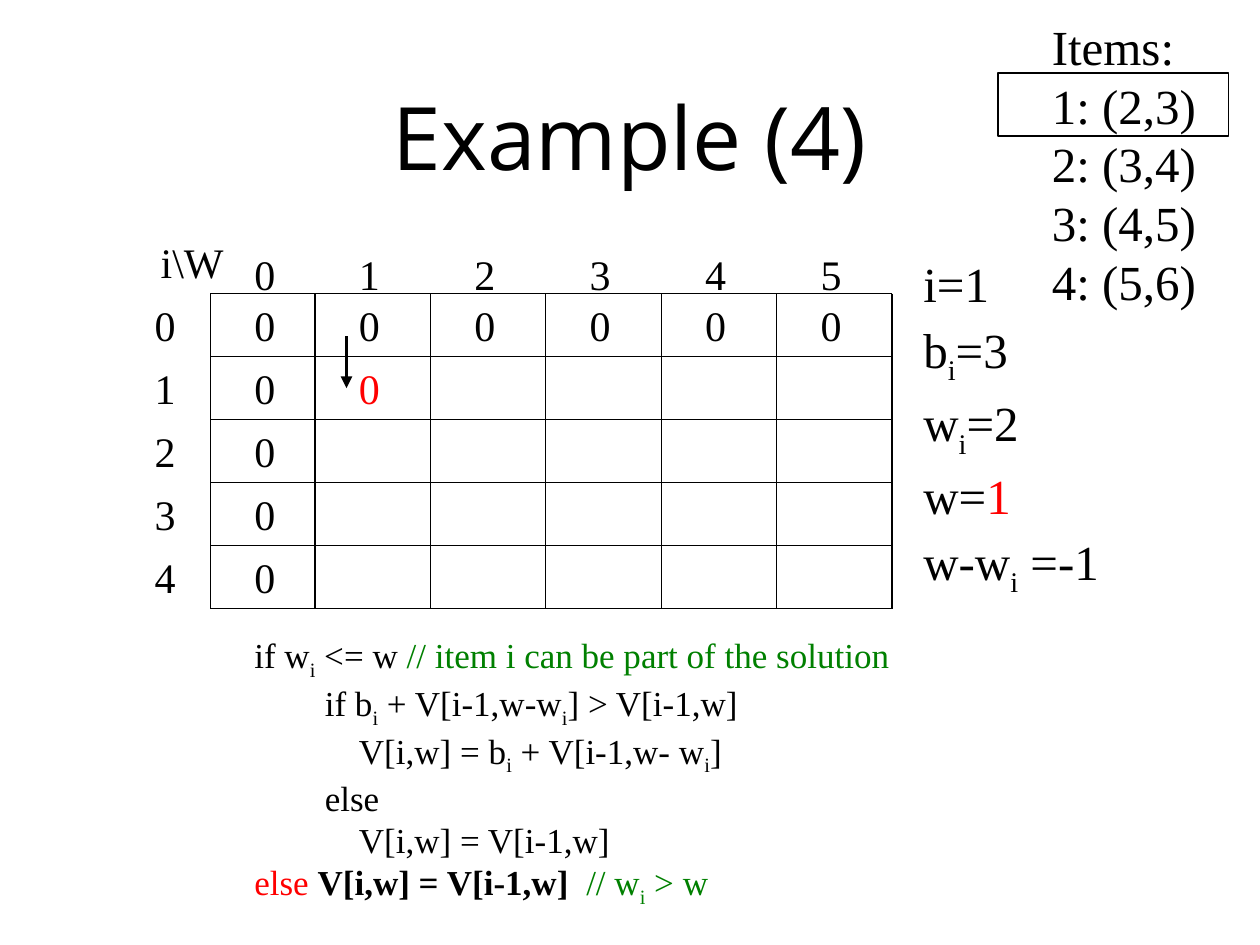
from dataclasses import dataclass

import pptx
import pptx.dml.color
import pptx.enum.shapes
import pptx.enum.text
import pptx.oxml.ns
import pptx.util
from lxml import etree
from pptx.util import Inches


@dataclass(frozen=True)
class Theme:
    """Colours, fonts and type sizes of the slide."""
    ink: str = "000000"
    accent: str = "FF0000"
    comment: str = "008000"
    title_font: str = "Open Sans"
    body_font: str = "Times New Roman"
    title_size: int = 50
    large: int = 28
    medium: int = 24
    small: int = 20


def rgb(value):
    """Turn a hex string into a colour."""
    return pptx.dml.color.RGBColor.from_string(value)


class SlideBuilder:
    """Draws styled elements on the current slide."""

    def __init__(self, s, theme):
        """Keep the slide and its theme."""
        self.s = s
        self.theme = theme

    def style(self, p, font, size, color):
        """Set the font shared by a whole paragraph."""
        p.font.name = font
        p.font.size = pptx.util.Pt(size)
        p.font.color.rgb = rgb(color)

    def title(self, text, x, y, w, h):
        """Place and format the title placeholder."""
        sp = self.s.shapes.title
        sp.left, sp.top, sp.width, sp.height = map(Inches, (x, y, w, h))
        tf = sp.text_frame
        tf.text = text
        tf.vertical_anchor = pptx.enum.text.MSO_ANCHOR.MIDDLE
        p = tf.paragraphs[0]
        p.alignment = pptx.enum.text.PP_ALIGN.CENTER
        p.line_spacing = 0.9
        self.style(p, self.theme.title_font, self.theme.title_size, self.theme.ink)

    def runs(self, p, text, color=None, bold=None):
        """Add text to a paragraph, with subscripts between tildes."""
        for k, piece in enumerate(text.split("~")):
            if not piece:
                continue
            r = p.add_run()
            r.text = piece
            if color:
                r.font.color.rgb = rgb(color)
            if bold:
                r.font.bold = True
            if k % 2:
                r.font._element.set("baseline", "-25000")

    def text(self, lines, x, y, w, h, size, color=None, wrap=False,
             spacing=None, align=None):
        """Add a text box from lines of (indent, runs)."""
        sp = self.s.shapes.add_textbox(*map(Inches, (x, y, w, h)))
        tf = sp.text_frame
        tf.word_wrap = wrap
        tf.auto_size = pptx.enum.text.MSO_AUTO_SIZE.SHAPE_TO_FIT_TEXT
        for k, (indent, parts) in enumerate(lines):
            p = tf.add_paragraph() if k else tf.paragraphs[0]
            self.style(p, self.theme.body_font, size, color or self.theme.ink)
            p.line_spacing = spacing
            p.alignment = align
            if indent:
                p._p.get_or_add_pPr().set("marL", str(Inches(indent)))
            for part in parts:
                self.runs(p, *part)

    def label(self, text, x, y, color=None):
        """Add a one-digit label of the grid."""
        self.text([(0, [(text,)])], x, y, 0.37, 0.5, self.theme.medium, color)

    def line(self, x1, y1, x2, y2, width=0.75, arrow=False):
        """Add a straight line, with an arrowhead at its end if asked."""
        c = self.s.shapes.add_connector(
            pptx.enum.shapes.MSO_CONNECTOR.STRAIGHT, *map(Inches, (x1, y1, x2, y2)))
        c.line.width = pptx.util.Pt(width)
        c.line.color.rgb = rgb(self.theme.ink)
        if arrow:
            etree.SubElement(c.line._get_or_add_ln(),
                             pptx.oxml.ns.qn("a:tailEnd"), type="triangle")
        etree.SubElement(c._element.spPr, pptx.oxml.ns.qn("a:effectLst"))

    def frame(self, x, y, w, h):
        """Add an unfilled rectangle."""
        sp = self.s.shapes.add_shape(
            pptx.enum.shapes.MSO_SHAPE.RECTANGLE, *map(Inches, (x, y, w, h)))
        sp.shadow.inherit = False
        sp.fill.background()
        sp.line.color.rgb = rgb(self.theme.ink)
        sp.line.width = pptx.util.Pt(0.75)

    def grid(self, xs, ys):
        """Draw the value grid with its headings and known zeros."""
        for x in xs:
            self.line(x, ys[0], x, ys[-1])
        for y in ys:
            self.line(xs[0], y, xs[-1], y)
        for k, x in enumerate(xs[:-1]):
            self.label(str(k), x + 0.25, 1.92)
            self.label("0", x + 0.25, ys[0])
        for k, y in enumerate(ys[:-1]):
            self.label(str(k), 1.13, y)
            if k:
                self.label("0", xs[0] + 0.25, y)
        self.label("0", xs[1] + 0.25, ys[1], self.theme.accent)


def main():
    """Build and save the knapsack example slide."""
    prs = pptx.Presentation()
    prs.slide_width, prs.slide_height = Inches(10), Inches(7.5)
    theme = Theme()
    b = SlideBuilder(prs.slides.add_slide(prs.slide_layouts[5]), theme)
    b.title("Example (4)", 0.69, 0.4, 8.62, 1.45)

    code = [
        (0, [("if w~i~ <= w ",),
             ("// item i can be part of the solution", theme.comment)]),
        (0.56, [("if b~i~ + V[i-1,w-w~i~] > V[i-1,w]",)]),
        (0.83, [("V[i,w] = b~i~ + V[i-1,w- w~i~]",)]),
        (0.56, [("else",)]),
        (0.83, [("V[i,w] = V[i-1,w]",)]),
        (0, [("else ", theme.accent), ("V[i,w] = V[i-1,w]  ", None, True),
             ("// w~i~ > w", theme.comment)]),
    ]
    b.text(code, 1.92, 4.98, 7.58, 2.1, theme.small, wrap=True)

    items = ["Items:", "1: (2,3)", "2: (3,4)", "3: (4,5)", "4: (5,6)"]
    b.text([(0, [(item,)]) for item in items], 8.25, 0.08, 1.44, 2.44, theme.large)
    b.frame(7.92, 0.58, 1.83, 0.5)

    state = [[("i=1",)], [("b~i~=3",)], [("w~i~=2",)],
             [("w=",), ("1", theme.accent)], [("w-w~i~ =-1",)]]
    b.text([(0, parts) for parts in state], 7.23, 1.92, 1.61, 2.67,
           theme.large, wrap=True, spacing=1.1)

    first, last = 2.5, 7.08
    xs = [1.67] + [first + (last - first) * k / 5 for k in range(6)]
    ys = [2.33 + 0.5 * k for k in range(6)]
    b.grid(xs, ys)
    b.text([(0, [("i\\W",)])], 1.15, 1.83, 0.75, 0.5, theme.medium, wrap=True,
           align=pptx.enum.text.PP_ALIGN.CENTER)
    b.line(2.75, 2.67, 2.75, 3.08, width=2.25, arrow=True)
    prs.save("out.pptx")


if __name__ == "__main__":
    main()
